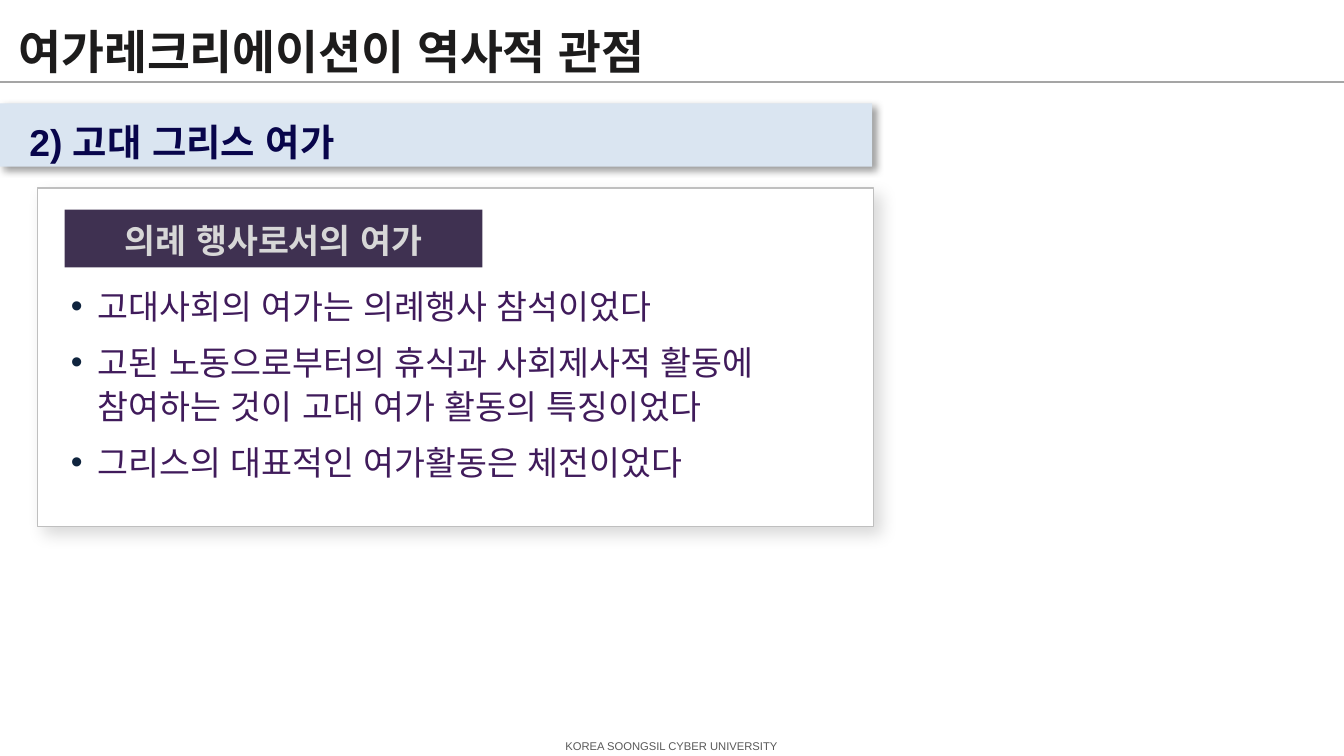
from lxml import etree
from pptx import Presentation
from pptx import util as u
from pptx.dml.color import RGBColor
from pptx.enum import lang, shapes, text
from pptx.oxml.ns import qn

FONT = "Arial"
BULLETS = [
    "고대사회의 여가는 의례행사 참석이었다",
    "고된 노동으로부터의 휴식과 사회제사적 활동에 참여하는 것이 고대 여가 활동의 특징이었다",
    "그리스의 대표적인 여가활동은 체전이었다",
]


def rgb(value):
    return RGBColor.from_string(value)


def add_effects(shape):
    return etree.SubElement(shape._element.spPr, qn("a:effectLst"))


def add_shadow(shape, opacity, blur, distance, angle):
    """Cast a black outer shadow; blur and distance are in points."""
    shadow = etree.SubElement(
        add_effects(shape), qn("a:outerShdw"),
        blurRad=str(u.Pt(blur)), dist=str(u.Pt(distance)),
        dir=str(angle * 60000), algn="tl", rotWithShape="0")
    color = etree.SubElement(shadow, qn("a:srgbClr"), val="000000")
    etree.SubElement(color, qn("a:alpha"), val=str(opacity * 1000))


def add_panel(page, box, fill, line=None, shadow=None):
    panel = page.shapes.add_shape(
        shapes.MSO_SHAPE.RECTANGLE, *map(u.Inches, box))
    panel.fill.solid()
    panel.fill.fore_color.rgb = rgb(fill)
    if line:
        panel.line.color.rgb = rgb(line)
        panel.line.width = u.Pt(0.75)
    else:
        panel.line.fill.background()
    if shadow:
        add_shadow(panel, *shadow)
    else:
        panel.shadow.inherit = False
    return panel


def add_bullet(para, color):
    props = para._p.get_or_add_pPr()
    props.set("marL", str(u.Inches(0.2)))
    props.set("indent", str(u.Inches(-0.2)))
    bullet_color = etree.SubElement(props, qn("a:buClr"))
    etree.SubElement(bullet_color, qn("a:srgbClr"), val=color)
    etree.SubElement(props, qn("a:buFont"), typeface=FONT)
    etree.SubElement(props, qn("a:buChar"), char="•")


def write(shape, *lines, size, color, bold=False, align=text.PP_ALIGN.LEFT,
          anchor=text.MSO_ANCHOR.TOP, spacing=None, gap=0, bullet=None,
          insets=(0.1, 0.05), grow=False):
    """Fill a shape with one paragraph per line; gap is in points."""
    frame = shape.text_frame
    frame.word_wrap = True
    frame.vertical_anchor = anchor
    if grow:
        frame.auto_size = text.MSO_AUTO_SIZE.SHAPE_TO_FIT_TEXT
    frame.margin_left = frame.margin_right = u.Inches(insets[0])
    frame.margin_top = frame.margin_bottom = u.Inches(insets[1])
    for index, line in enumerate(lines):
        para = frame.add_paragraph() if index else frame.paragraphs[0]
        if bullet:
            add_bullet(para, bullet)
        para.alignment = align
        if spacing:
            para.line_spacing = spacing
        if index and gap:
            para.space_before = u.Pt(gap)
        span = para.add_run()
        span.text = line
        span.font.name = FONT
        span.font.size = u.Pt(size)
        span.font.bold = bold
        span.font.color.rgb = rgb(color)
        span.font.language_id = lang.MSO_LANGUAGE_ID.KOREAN


def add_text(page, box, *lines, **style):
    write(page.shapes.add_textbox(*map(u.Inches, box)), *lines, **style)


def add_header(page, left, top, width, height):
    bottom = top + height
    rule = page.shapes.add_connector(
        shapes.MSO_CONNECTOR.STRAIGHT,
        *map(u.Inches, (left, bottom, left + width, bottom)))
    rule.line.color.rgb = rgb("A5A5A5")
    rule.line.width = u.Pt(0.75)
    add_effects(rule)
    add_text(page, (left + 0.04, top + 0.14, 8.35, 0.47),
             "여가레크리에이션이 역사적 관점", size=25, color="1D1C1C",
             bold=True, anchor=text.MSO_ANCHOR.MIDDLE)


def add_section_band(page, left, top, width, height):
    add_panel(page, (left, top, width, height), "DAE5F1",
              shadow=(40, 4, 3, 45))
    add_text(page, (left + 0.12, top, width - 0.23, 0.5),
             "2) 고대 그리스 여가", size=20, color="08054B", bold=True,
             spacing=1.2, grow=True)


def add_card(page, left, top, width, height):
    add_panel(page, (left, top, width, height), "FFFFFF", line="BFBFBF",
              shadow=(15, 9, 5, 50))
    add_text(page, (left + 0.15, top + 0.65, width - 0.28, 1.6), *BULLETS,
             size=18, color="401B5B", spacing=1.1, gap=6, bullet="0F243E",
             grow=True)
    label = add_panel(page, (left + 0.2, top + 0.16, 3.11, 0.43), "3F3151")
    write(label, "의례 행사로서의 여가", size=18, color="D7D7D7", bold=True,
          align=text.PP_ALIGN.CENTER, anchor=text.MSO_ANCHOR.MIDDLE,
          spacing=1.1, insets=(0.19, 0.1))


def add_footer(page, *box):
    add_text(page, box, "KOREA SOONGSIL CYBER UNIVERSITY", size=6,
             color="595959", align=text.PP_ALIGN.CENTER, grow=True)


def main():
    deck = Presentation()
    deck.slide_width = u.Inches(10)
    deck.slide_height = deck.slide_width * 9 // 16
    page = deck.slides.add_slide(deck.slide_layouts[6])
    add_header(page, 0, 0, 10, 0.61)
    add_footer(page, 3.46, 5.45, 3.07, 0.2)
    add_section_band(page, 0, 0.77, 6.49, 0.47)
    add_card(page, 0.28, 1.4, 6.22, 2.52)
    deck.save("out.pptx")


if __name__ == "__main__":
    main()
